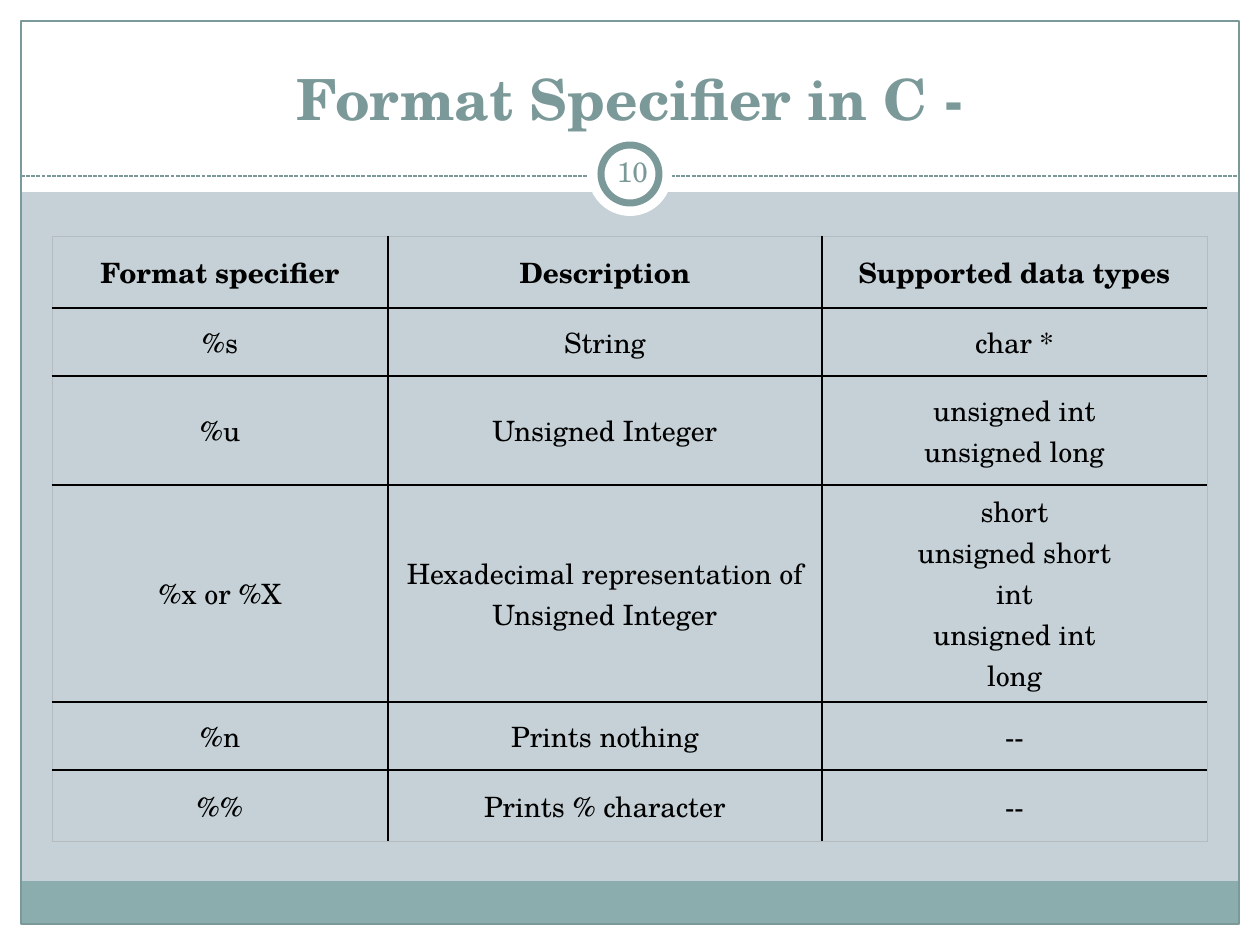
from dataclasses import dataclass
from typing import NamedTuple

from lxml.etree import SubElement
from pptx import Presentation
from pptx.dml.color import RGBColor
from pptx.enum.dml import MSO_LINE
from pptx.enum.shapes import MSO_CONNECTOR, MSO_SHAPE
from pptx.enum.text import MSO_ANCHOR, MSO_AUTO_SIZE, PP_ALIGN
from pptx.oxml.ns import qn
from pptx.util import Emu, Pt


@dataclass(frozen=True)
class Theme:
    font: str = "TeX Gyre Schola"
    back: str = "C5D1D7"
    panel: str = "FFFFFF"
    accent: str = "7C999A"
    footer: str = "8CADAE"
    ink: str = "000000"
    edge: str = "B4BCC0"
    title_pt: float = 32.4
    body_pt: float = 16
    hairline_pt: float = 0.75
    ring_pt: float = 4
    grid_pt: float = 1
    edge_pt: float = 0.5


class Box(NamedTuple):
    x: int
    y: int
    w: int
    h: int


class Decor(NamedTuple):
    box: Box
    fill: str | None = None
    line_pt: float = 0
    kind: MSO_SHAPE = MSO_SHAPE.RECTANGLE


T = Theme()
PX_PER_INCH = 126
WIDTH, HEIGHT = 1260, 945
MARGIN = 21
BAND_TOP, RULE_Y = 192, 176

PANELS = [
    Decor(Box(0, HEIGHT - MARGIN, WIDTH, MARGIN), T.panel),
    Decor(Box(0, 0, WIDTH, BAND_TOP), T.panel),
    Decor(Box(0, 0, MARGIN, HEIGHT), T.panel),
    Decor(Box(WIDTH - MARGIN, 0, MARGIN, HEIGHT), T.panel),
    Decor(Box(MARGIN, 881, WIDTH - 2 * MARGIN, 43), T.footer),
    Decor(Box(MARGIN, MARGIN, WIDTH - 2 * MARGIN, HEIGHT - 2 * MARGIN),
          line_pt=T.hairline_pt),
]
BADGE = [
    Decor(Box(588, 132, 84, 84), T.panel, kind=MSO_SHAPE.OVAL),
    Decor(Box(601, 145, 58, 58), T.panel, T.ring_pt, MSO_SHAPE.OVAL),
]

TABLE_X, TABLE_Y = 52, 236
COLS = [336, 434, 385]
ROW_HEIGHTS = [72, 68, 109, 217, 68, 72]
ROWS = [
    ("Format specifier", "Description", "Supported data types"),
    ("%s", "String", "char *"),
    ("%u", "Unsigned Integer", "unsigned int\nunsigned long"),
    ("%x or %X", "Hexadecimal representation of Unsigned Integer",
     "short\nunsigned short\nint\nunsigned int\nlong"),
    ("%n", "Prints nothing", "--"),
    ("%%", "Prints % character", "--"),
]


def px(n: int) -> Emu:
    return Emu(round(n * 914400 / PX_PER_INCH))


def emu(box: Box) -> list[Emu]:
    return [px(n) for n in box]


def rgb(color: str) -> RGBColor:
    return RGBColor.from_string(color)


def write(tf, text: str, size: float, color: str, bold: bool = False) -> None:
    """Fill a text frame with one centred paragraph; newlines are line breaks."""
    p = tf.paragraphs[0]
    p.text = text
    p.alignment = PP_ALIGN.CENTER
    for r in p.runs:
        r.font.name = T.font
        r.font.size = Pt(size)
        r.font.bold = bold
        r.font.color.rgb = rgb(color)


def draw_decor(s, decor: Decor) -> None:
    sp = s.shapes.add_shape(decor.kind, *emu(decor.box))
    sp.shadow.inherit = False
    if decor.fill:
        sp.fill.solid()
        sp.fill.fore_color.rgb = rgb(decor.fill)
    else:
        sp.fill.background()
    if decor.line_pt:
        sp.line.color.rgb = rgb(T.accent)
        sp.line.width = Pt(decor.line_pt)
    else:
        sp.line.fill.background()


def draw_rule(s) -> None:
    rule = s.shapes.add_connector(MSO_CONNECTOR.STRAIGHT, px(MARGIN), px(RULE_Y),
                                  px(WIDTH - MARGIN), px(RULE_Y))
    rule.line.color.rgb = rgb(T.accent)
    rule.line.width = Pt(T.hairline_pt)
    rule.line.dash_style = MSO_LINE.SQUARE_DOT
    SubElement(rule.element.spPr, qn("a:effectLst"))


def draw_title(s) -> None:
    title = s.shapes.title
    title.left, title.top, title.width, title.height = emu(Box(87, 50, 1086, 88))
    tf = title.text_frame
    tf.vertical_anchor = MSO_ANCHOR.BOTTOM
    tf.auto_size = MSO_AUTO_SIZE.NONE
    write(tf, "Format Specifier in C -", T.title_pt, T.accent, bold=True)
    title.element.getparent().append(title.element)  # above the white panels


def draw_number(s) -> None:
    tf = s.shapes.add_textbox(*emu(Box(601, 141, 63, 60))).text_frame
    tf.word_wrap = True
    tf.vertical_anchor = MSO_ANCHOR.MIDDLE
    tf.margin_left = tf.margin_right = tf.margin_top = tf.margin_bottom = px(6)
    write(tf, "10", T.body_pt, T.accent)


def set_borders(cell, outer: dict[str, bool]) -> None:
    """Draw pale borders on the table's outside and dark ones inside."""
    tc_pr = cell._tc.get_or_add_tcPr()
    for side, is_outer in outer.items():
        width, color = (T.edge_pt, T.edge) if is_outer else (T.grid_pt, T.ink)
        ln = SubElement(tc_pr, qn(f"a:ln{side}"), w=str(Pt(width)))
        fill = SubElement(ln, qn("a:solidFill"))
        SubElement(fill, qn("a:srgbClr"), val=color)


def draw_table(s) -> None:
    box = Box(TABLE_X, TABLE_Y, sum(COLS), sum(ROW_HEIGHTS))
    table = s.shapes.add_table(len(ROWS), len(COLS), *emu(box)).table
    table.first_row = table.horz_banding = False
    for column, width in zip(table.columns, COLS):
        column.width = px(width)
    for i, (height, texts) in enumerate(zip(ROW_HEIGHTS, ROWS)):
        table.rows[i].height = px(height)
        for j, text in enumerate(texts):
            cell = table.cell(i, j)
            set_borders(cell, {"L": j == 0, "R": j == len(COLS) - 1,
                               "T": i == 0, "B": i == len(ROWS) - 1})
            cell.fill.background()
            cell.vertical_anchor = MSO_ANCHOR.MIDDLE
            cell.margin_left = cell.margin_right = px(5)
            cell.margin_top = cell.margin_bottom = px(6)
            write(cell.text_frame, text, T.body_pt, T.ink, bold=i == 0)


def main() -> None:
    prs = Presentation()
    prs.slide_width, prs.slide_height = px(WIDTH), px(HEIGHT)
    s = prs.slides.add_slide(prs.slide_layouts[5])
    s.background.fill.solid()
    s.background.fill.fore_color.rgb = rgb(T.back)
    for decor in PANELS:
        draw_decor(s, decor)
    draw_rule(s)
    for decor in BADGE:
        draw_decor(s, decor)
    draw_title(s)
    draw_number(s)
    draw_table(s)
    prs.save("out.pptx")


if __name__ == "__main__":
    main()
